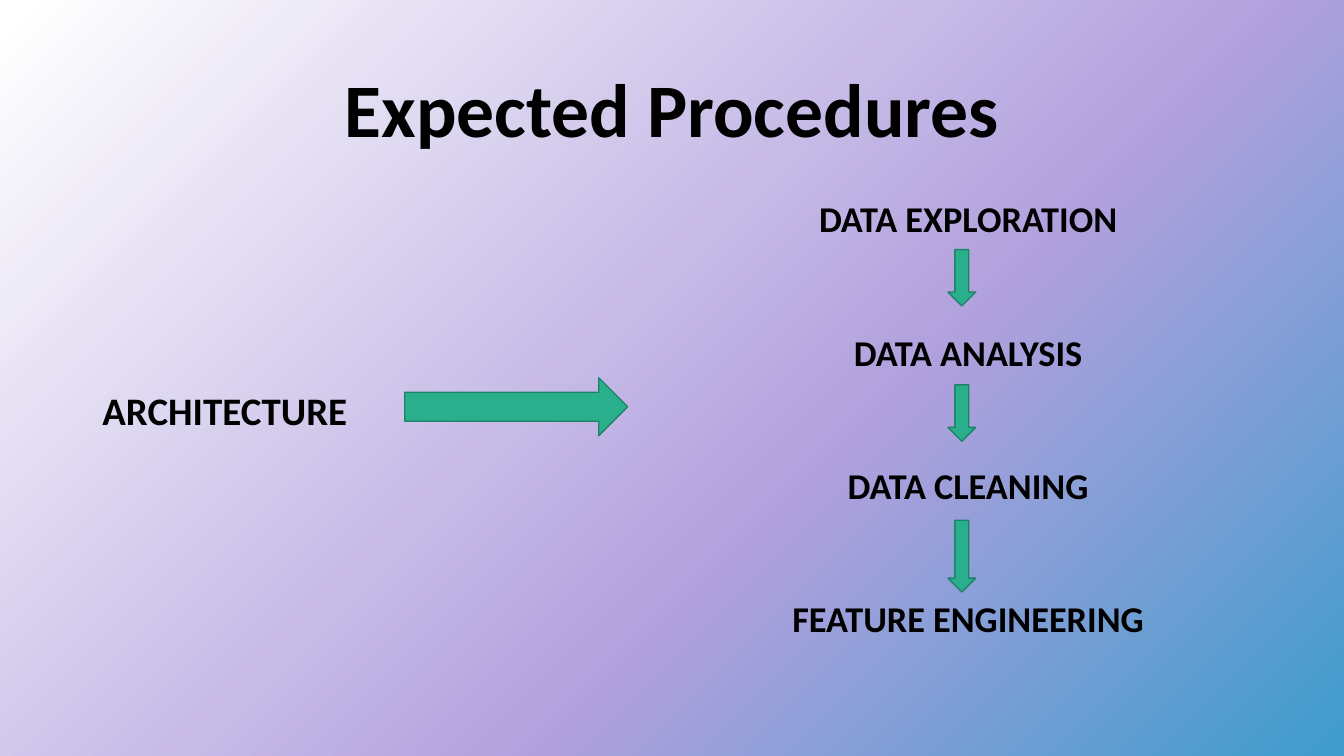
import copy
from dataclasses import dataclass

import pptx
import pptx.dml.color
import pptx.enum.shapes
import pptx.enum.text
import pptx.util

Cm = pptx.util.Cm
Pt = pptx.util.Pt
RGB = pptx.dml.color.RGBColor.from_string
MSO = pptx.enum.shapes.MSO_SHAPE
ALIGN = pptx.enum.text.PP_ALIGN


@dataclass(frozen=True)
class Theme:
    font: str = "Calibri"
    text: str = "000000"
    arrow: str = "29AF8C"
    arrow_line: str = "1E8168"
    background: tuple = ((0.01, "FFFFFF"), (0.62, "B0A0DD"), (1, "3D9CCC"))
    title_size: float = 54
    label_size: float = 27.8
    step_size: float = 25.9


theme = Theme()

prs = pptx.Presentation()
prs.slide_width, prs.slide_height = Cm(33.87), Cm(19.05)
slide = prs.slides.add_slide(prs.slide_layouts[6])


def add_text(text, left, middle, width, height=1.6, size=theme.step_size,
             align=ALIGN.CENTER, spacing=1.0):
    """Add a bold line of text, centred vertically on middle."""
    sp = slide.shapes.add_textbox(Cm(left), Cm(middle - height / 2),
                                  Cm(width), Cm(height))
    tf = sp.text_frame
    tf.word_wrap = True
    tf.vertical_anchor = pptx.enum.text.MSO_ANCHOR.MIDDLE
    p = tf.paragraphs[0]
    p.alignment = align
    p.line_spacing = spacing
    r = p.add_run()
    r.text = text
    r.font.name = theme.font
    r.font.size = Pt(size)
    r.font.bold = True
    r.font.color.rgb = RGB(theme.text)


def add_arrow(kind, left, top, width, height):
    sp = slide.shapes.add_shape(kind, Cm(left), Cm(top), Cm(width), Cm(height))
    sp.shadow.inherit = False
    sp.fill.solid()
    sp.fill.fore_color.rgb = RGB(theme.arrow)
    sp.line.color.rgb = RGB(theme.arrow_line)
    sp.line.width = Pt(1)


# Background: three-stop diagonal gradient
fill = slide.background.fill
fill.gradient()
fill.gradient_angle = 315
stop_list = slide.element.xpath(".//a:gsLst")[0]
stop_list.append(copy.deepcopy(stop_list[0]))
for stop, (position, color) in zip(fill.gradient_stops, theme.background):
    stop.position = position
    stop.color.rgb = RGB(color)

# Title
add_text("Expected Procedures", 2.33, 2.85, 29.21, height=3.68,
         size=theme.title_size, spacing=0.9)

# Starting point and arrow to the steps
add_text("ARCHITECTURE", 2.33, 10.33, 7.5, size=theme.label_size,
         align=ALIGN.LEFT)
add_arrow(MSO.RIGHT_ARROW, 10.2, 9.52, 5.62, 1.46)

# Steps, evenly spaced from top to bottom
steps = ("DATA EXPLORATION", "DATA ANALYSIS", "DATA CLEANING",
         "FEATURE ENGINEERING")
for i, step in enumerate(steps):
    add_text(step, 17.2, 5.5 + 3.36 * i, 14.4)

# Arrows between the steps
for i, height in enumerate((1.42, 1.42, 1.81)):
    add_arrow(MSO.DOWN_ARROW, 23.89, 6.29 + 3.41 * i, 0.7, height)

prs.save("out.pptx")
